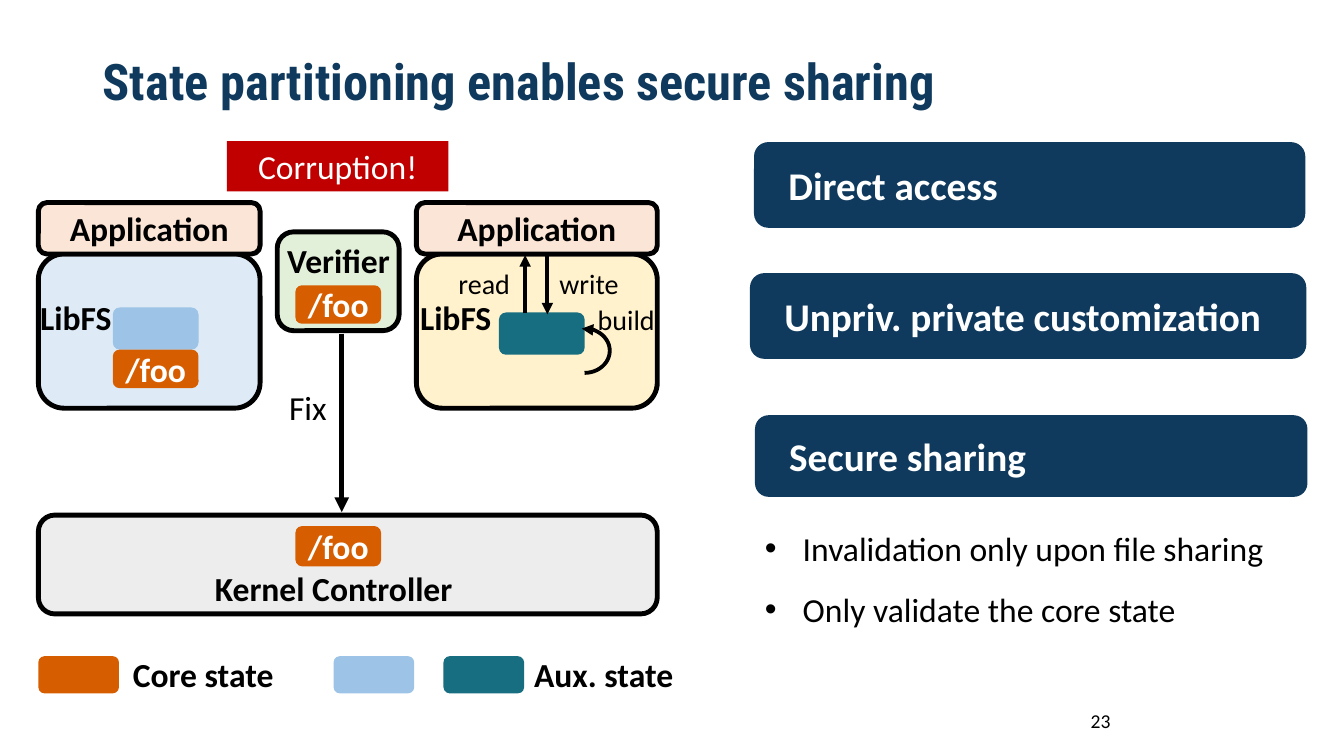
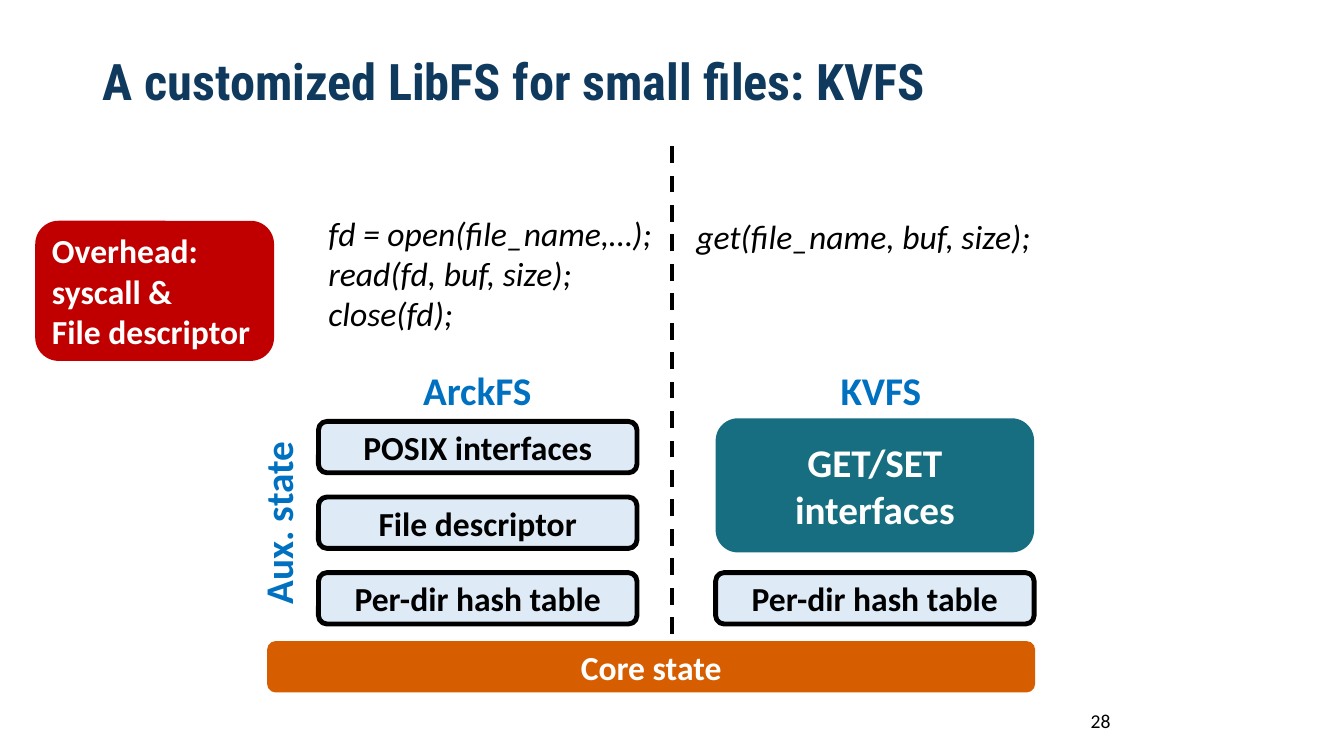
from dataclasses import dataclass, replace
from typing import Any, Optional

from lxml.etree import SubElement
from pptx import Presentation
from pptx.dml.color import RGBColor
from pptx.enum.dml import MSO_LINE
from pptx.enum.shapes import MSO_CONNECTOR, MSO_SHAPE
from pptx.enum.text import MSO_ANCHOR, MSO_AUTO_SIZE, PP_ALIGN
from pptx.oxml.ns import qn
from pptx.util import Pt

NAVY, TEAL, ORANGE, RED, BLUE = "0F3A5D", "176E80", "D65E00", "C00000", "0070C0"
SKY, PALE_BLUE, CREAM, PEACH = "9DC3E6", "DEEBF7", "FFF2CC", "FBE5D6"
PALE_GREEN, GREY, BLACK, WHITE = "E2F0D9", "EDEDED", "000000", "FFFFFF"
OUTLINE = 3.5


@dataclass(frozen=True)
class Look:
    """Fill, outline and text format of a box."""
    fill: Optional[str] = None
    line: Optional[str] = None
    color: str = WHITE
    size: float = 24
    bold: bool = True
    italic: bool = False
    font: str = "Calibri"
    align: PP_ALIGN = PP_ALIGN.CENTER
    anchor: MSO_ANCHOR = MSO_ANCHOR.MIDDLE
    inset: float = 7.2
    spacing: float = 1.0
    bullet: bool = False
    shape: MSO_SHAPE = MSO_SHAPE.ROUNDED_RECTANGLE


@dataclass(frozen=True)
class Box:
    """A shape, or a text box when its look has no fill."""
    left: float
    top: float
    width: float
    height: float
    look: Look
    text: str = ""
    turn: float = 0


@dataclass(frozen=True)
class Rule:
    """A vertical line, with an arrowhead at its end unless dashed."""
    x: float
    start: float
    end: float
    weight: float
    dashed: bool = False


LABEL = Look(color=BLACK, align=PP_ALIGN.LEFT, anchor=MSO_ANCHOR.TOP)
PLAIN = replace(LABEL, bold=False)
SMALL = replace(PLAIN, size=20)
CODE = replace(PLAIN, italic=True)
BULLETS = replace(PLAIN, spacing=1.5, bullet=True)
HEADING = replace(LABEL, color=BLUE, size=28)
TITLE = Look(color=NAVY, size=36, font="Roboto Condensed", align=PP_ALIGN.LEFT, spacing=0.9)
NUMBER = Look(color=BLACK, size=14, bold=False)
BAR = Look(fill=NAVY, size=28, align=PP_ALIGN.LEFT, inset=21.6)
CORE, AUX_OLD, AUX_NEW = Look(fill=ORANGE), Look(fill=SKY), Look(fill=TEAL)
ALERT = Look(fill=RED, bold=False, shape=MSO_SHAPE.RECTANGLE)
WARNING = Look(fill=RED, align=PP_ALIGN.LEFT)


def framed(fill: str) -> Look:
    """Return the look of a black-outlined box."""
    return Look(fill=fill, line=BLACK, color=BLACK)


def rgb(value: str) -> RGBColor:
    """Turn a hex string into a colour."""
    return RGBColor.from_string(value)


def assign(target: Any, values: dict[str, Any]) -> None:
    """Set attributes from a dict of format values."""
    for name, value in values.items():
        setattr(target, name, value)


def write(shape: Any, text: str, look: Look) -> None:
    """Write and format the text of a shape, one paragraph a line."""
    frame = shape.text_frame
    frame.text = text
    assign(frame, {"word_wrap": True, "auto_size": MSO_AUTO_SIZE.NONE,
                   "vertical_anchor": look.anchor,
                   "margin_left": Pt(look.inset), "margin_right": Pt(7.2),
                   "margin_top": Pt(3.6), "margin_bottom": Pt(3.6)})
    for para in frame.paragraphs:
        assign(para, {"alignment": look.align, "line_spacing": look.spacing})
        if look.bullet:
            props = para._p.get_or_add_pPr()
            props.set("marL", str(Pt(27)))
            props.set("indent", str(-Pt(27)))
            SubElement(props, qn("a:buFont")).set("typeface", "Arial")
            SubElement(props, qn("a:buChar")).set("char", "•")
        for span in para.runs:
            assign(span.font, {"name": look.font, "size": Pt(look.size),
                               "bold": look.bold, "italic": look.italic})
            span.font.color.rgb = rgb(look.color)


def draw_box(page: Any, box: Box) -> Any:
    """Draw one box and its text."""
    look = box.look
    place = [Pt(value) for value in (box.left, box.top, box.width, box.height)]
    if look.fill is None:
        shape = page.shapes.add_textbox(*place)
    else:
        shape = page.shapes.add_shape(look.shape, *place)
        shape.shadow.inherit = False
        shape.fill.solid()
        shape.fill.fore_color.rgb = rgb(look.fill)
        if look.line:
            stroke(shape, look.line, OUTLINE)
        else:
            shape.line.fill.background()
    shape.rotation = box.turn
    if box.text:
        write(shape, box.text, look)
    return shape


def stroke(shape: Any, color: str, weight: float) -> None:
    """Set the colour and weight of a line."""
    shape.line.color.rgb = rgb(color)
    shape.line.width = Pt(weight)


def add_head(shape: Any) -> None:
    """Put a triangle at the end of a line."""
    outline = shape.element.spPr.find(qn("a:ln"))
    SubElement(outline, qn("a:tailEnd")).set("type", "triangle")


def draw_rule(page: Any, rule: Rule) -> None:
    """Draw one vertical line or arrow."""
    line = page.shapes.add_connector(MSO_CONNECTOR.STRAIGHT, Pt(rule.x), Pt(rule.start),
                                     Pt(rule.x), Pt(rule.end))
    stroke(line, BLACK, rule.weight)
    if rule.dashed:
        line.line.dash_style = MSO_LINE.DASH
    else:
        add_head(line)
    SubElement(line.element.spPr, qn("a:effectLst"))


def draw_loop(page: Any) -> None:
    """Draw the curved arrow that builds the auxiliary state."""
    arc = page.shapes.add_shape(MSO_SHAPE.ARC, Pt(399.6), Pt(234.7), Pt(36), Pt(31.7))
    arc.adjustments[0], arc.adjustments[1] = 162, 58.28
    arc.shadow.inherit = False
    arc.fill.background()
    stroke(arc, BLACK, 2.75)
    add_head(arc)
    arc.element.spPr.find(qn("a:xfrm")).set("flipV", "1")


def add_page(deck: Any, title: str, number: int, boxes: list[Box], rules: list[Rule]) -> Any:
    """Add a slide with title, page number, boxes and lines."""
    page = deck.slides.add_slide(deck.slide_layouts[5])
    heading = page.shapes.title
    assign(heading, {"left": Pt(66.2), "top": Pt(28.8), "width": Pt(866.9), "height": Pt(62.6)})
    write(heading, title, TITLE)
    for box in [*boxes, Box(678.2, 500.4, 216, 28.8, NUMBER, str(number))]:
        draw_box(page, box)
    for rule in rules:
        draw_rule(page, rule)
    return page


def sharing_page(deck: Any) -> None:
    """Build the slide on secure sharing."""
    boxes = [Box(162, 100.8, 158.4, 36, ALERT, "Corruption!")]
    for left, width, fill, label_left in ((27.4, 158.4, PALE_BLUE, 21.6),
                                          (297.4, 172.1, CREAM, 293)):
        boxes += [Box(left, 181.4, width, 110.2, framed(fill)),
                  Box(left, 144.7, width, 36.7, framed(PEACH), "Application"),
                  Box(label_left, 208.8, 71.3, 36, LABEL, "LibFS")]
    boxes += [
        Box(80.6, 219.6, 61.2, 30.2, AUX_OLD),
        Box(356.4, 223.2, 61.2, 30.2, AUX_NEW),
        Box(198, 165.6, 87.1, 70.6, framed(PALE_GREEN)),
        Box(198, 167.8, 95, 36, LABEL, "Verifier"),
        Box(27.4, 367.9, 442.1, 70.6, framed(GREY)),
        Box(139, 401.8, 198.7, 36, replace(LABEL, align=PP_ALIGN.CENTER), "Kernel Controller"),
        Box(199.4, 272.9, 46.1, 36, PLAIN, "Fix"),
        Box(320.4, 186.5, 59.8, 31.7, SMALL, "read"),
        Box(392.4, 186.5, 66.2, 31.7, SMALL, "write"),
        Box(419.8, 212.4, 64.1, 31.7, SMALL, "build"),
    ]
    boxes += [Box(left, top, 61.2, height, CORE, "/foo") for left, top, height in
              ((80.6, 249.8, 27.4), (211, 203.8, 27.4), (211, 375.8, 28.8))]
    boxes += [Box(left, 468.7, 57.6, 26.6, look) for left, look in
              ((27.4, CORE), (238.3, AUX_OLD), (316.8, AUX_NEW))]
    boxes += [Box(left, 463.7, 117.4, 36, LABEL, text) for left, text in
              ((87.8, "Core state"), (374.4, "Aux. state"))]
    goals = [
        Box(538.6, 101.5, 393.8, 61.2, BAR, "Direct access"),
        Box(535.7, 195.1, 397.4, 61.2, BAR, "Unpriv. private customization"),
        Box(539.3, 296.6, 394.6, 58.3, BAR, "Secure sharing"),
        Box(539.3, 359.3, 402.5, 54, BULLETS,
            "Invalidation only upon file sharing\nOnly validate the core state"),
    ]
    rules = [Rule(375.1, 223.9, 182.2, 2.75), Rule(391, 182.9, 224.6, 2.75),
             Rule(244.1, 238.3, 365.8, 3.5)]
    page = add_page(deck, "State partitioning enables secure sharing", 23, boxes + goals, rules)
    draw_loop(page)


def small_files_page(deck: Any) -> None:
    """Build the slide on the key-value file system."""
    left, right, width, base, step = 227.5, 511.2, 227.5, 409, 54
    layer = framed(PALE_BLUE)
    boxes = [Box(left, base - step * level, width, 36.7, layer, text) for level, text in
             enumerate(("Per-dir hash table", "File descriptor", "POSIX interfaces"))]
    boxes += [
        Box(right, base, width, 36.7, layer, "Per-dir hash table"),
        Box(right, 298.8, width, 95.8, replace(AUX_NEW, size=28), "GET/SET interfaces"),
        Box(190.8, 457.9, 548.6, 36.7, CORE, "Core state"),
        Box(295.2, 257.8, 111.6, 41, HEADING, "ArckFS"),
        Box(593.3, 257.8, 75.6, 41, HEADING, "KVFS"),
        Box(128.9, 348.5, 139, 41, HEADING, "Aux. state", 270),
        Box(227.5, 148.3, 252.7, 94.3, CODE,
            "fd = open(file_name,…);\nread(fd, buf, size);\nclose(fd);"),
        Box(490.3, 150.5, 282.2, 36, CODE, "get(file_name, buf, size);"),
        Box(25.2, 157.7, 170.6, 100.1, WARNING, "Overhead: syscall &\nFile descriptor"),
    ]
    add_page(deck, "A customized LibFS for small files: KVFS", 28, boxes,
             [Rule(480.2, 452.9, 100.1, 3, dashed=True)])


def main() -> None:
    """Build and save the deck."""
    deck = Presentation()
    assign(deck, {"slide_width": Pt(960), "slide_height": Pt(540)})
    sharing_page(deck)
    small_files_page(deck)
    deck.save("out.pptx")


main()
